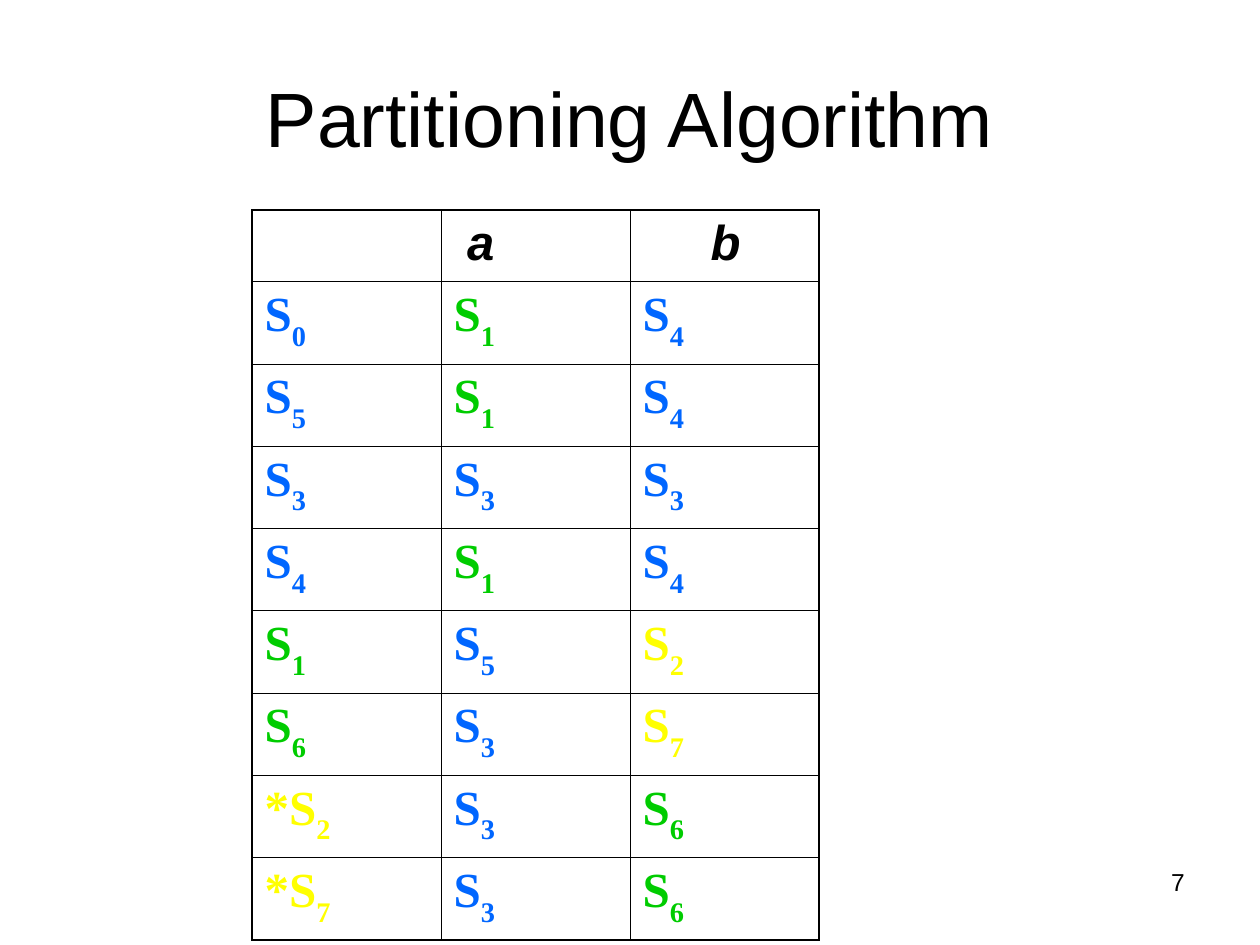
"""Build the Partitioning Algorithm slide with its state transition table."""
from lxml import etree
from pptx import Presentation
from pptx.dml.color import RGBColor
from pptx.enum import text
from pptx.oxml import ns
from pptx.util import Pt

BLACK = RGBColor(0x00, 0x00, 0x00)
BLUE = RGBColor(0x00, 0x66, 0xFF)
GREEN = RGBColor(0x00, 0xCC, 0x00)
YELLOW = RGBColor(0xFF, 0xFF, 0x00)
THIN, THICK = Pt(0.45), Pt(1.08)

GROUPS = {BLUE: "0345", GREEN: "16", YELLOW: "27"}
STATE_COLORS = {state: color for color, states in GROUPS.items() for state in states}
ACCEPTING = "27"
TRANSITIONS = ["014", "514", "333", "414", "152", "637", "236", "736"]
HEADERS = [("", 0), ("a", 7.8), ("b", 38.9)]


def add_run(p, content, font, size, color, bold=False):
    r = p.add_run()
    r.text = content
    r.font.name, r.font.size, r.font.bold = font, Pt(size), bold
    r.font.color.rgb = color
    return r


def set_border(cell, side, width):
    ln = etree.SubElement(cell._tc.get_or_add_tcPr(), ns.qn(f"a:ln{side}"), w=str(int(width)))
    fill = etree.SubElement(ln, ns.qn("a:solidFill"))
    etree.SubElement(fill, ns.qn("a:srgbClr"), val=str(BLACK))


prs = Presentation()
prs.slide_width, prs.slide_height = Pt(720), Pt(540)
s = prs.slides.add_slide(prs.slide_layouts[5])

title = s.shapes.title
title.left, title.top, title.width, title.height = Pt(36), Pt(21.6), Pt(648), Pt(90)
tf = title.text_frame
tf.vertical_anchor = text.MSO_ANCHOR.MIDDLE
p = tf.paragraphs[0]
p.alignment = text.PP_ALIGN.CENTER
add_run(p, "Partitioning Algorithm", "Arial", 44, BLACK)

n_rows, n_cols = len(TRANSITIONS) + 1, len(HEADERS)
table = s.shapes.add_table(n_rows, n_cols, Pt(144), Pt(120), Pt(324), Pt(417)).table
table.first_row = table.horz_banding = False
for col in table.columns:
    col.width = Pt(108)
for i, row in enumerate(table.rows):
    row.height = Pt(47) if i else Pt(41)

for i in range(n_rows):
    for j in range(n_cols):
        cell = table.cell(i, j)
        outer_edges = {"L": j == 0, "R": j == n_cols - 1, "T": i == 0, "B": i == n_rows - 1}
        for side, outer in outer_edges.items():
            set_border(cell, side, THICK if outer else THIN)
        cell.fill.background()
        p = cell.text_frame.paragraphs[0]
        if i == 0:
            label, indent = HEADERS[j]
            if label:
                p._p.get_or_add_pPr().set("marL", str(int(Pt(indent))))
                add_run(p, label, "Arial", 28, BLACK, True).font.italic = True
            continue
        state = TRANSITIONS[i - 1][j]
        name = "*S" if j == 0 and state in ACCEPTING else "S"
        add_run(p, name, "Times New Roman", 28, STATE_COLORS[state], True)
        r = add_run(p, state, "Times New Roman", 28, STATE_COLORS[state], True)
        r._r.get_or_add_rPr().set("baseline", "-30000")

number = s.shapes.add_textbox(Pt(516), Pt(492), Pt(168), Pt(37.5))
number.text_frame.word_wrap = True
p = number.text_frame.paragraphs[0]
p.alignment = text.PP_ALIGN.RIGHT
add_run(p, "7", "Arial", 14, BLACK)

prs.save("out.pptx")
